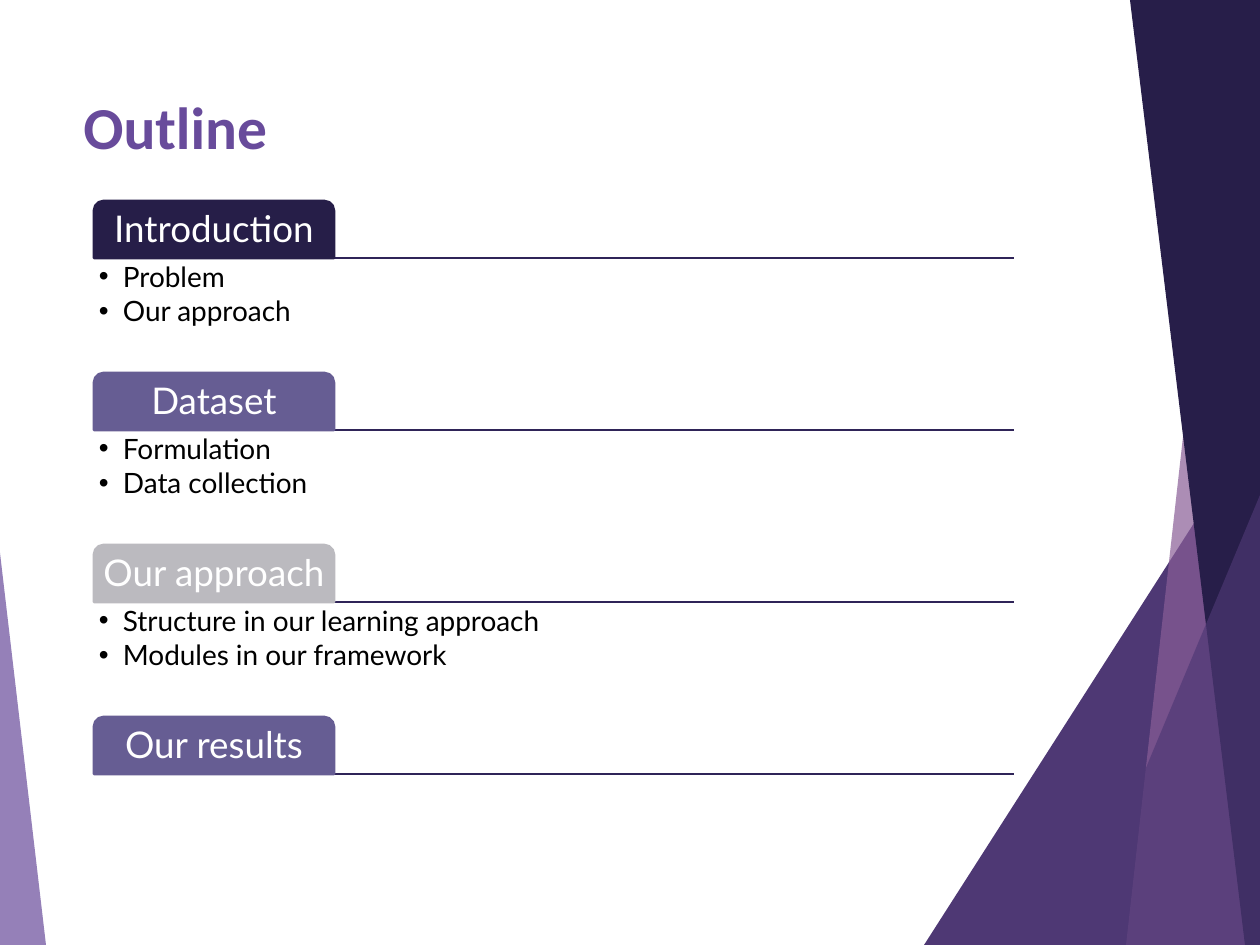
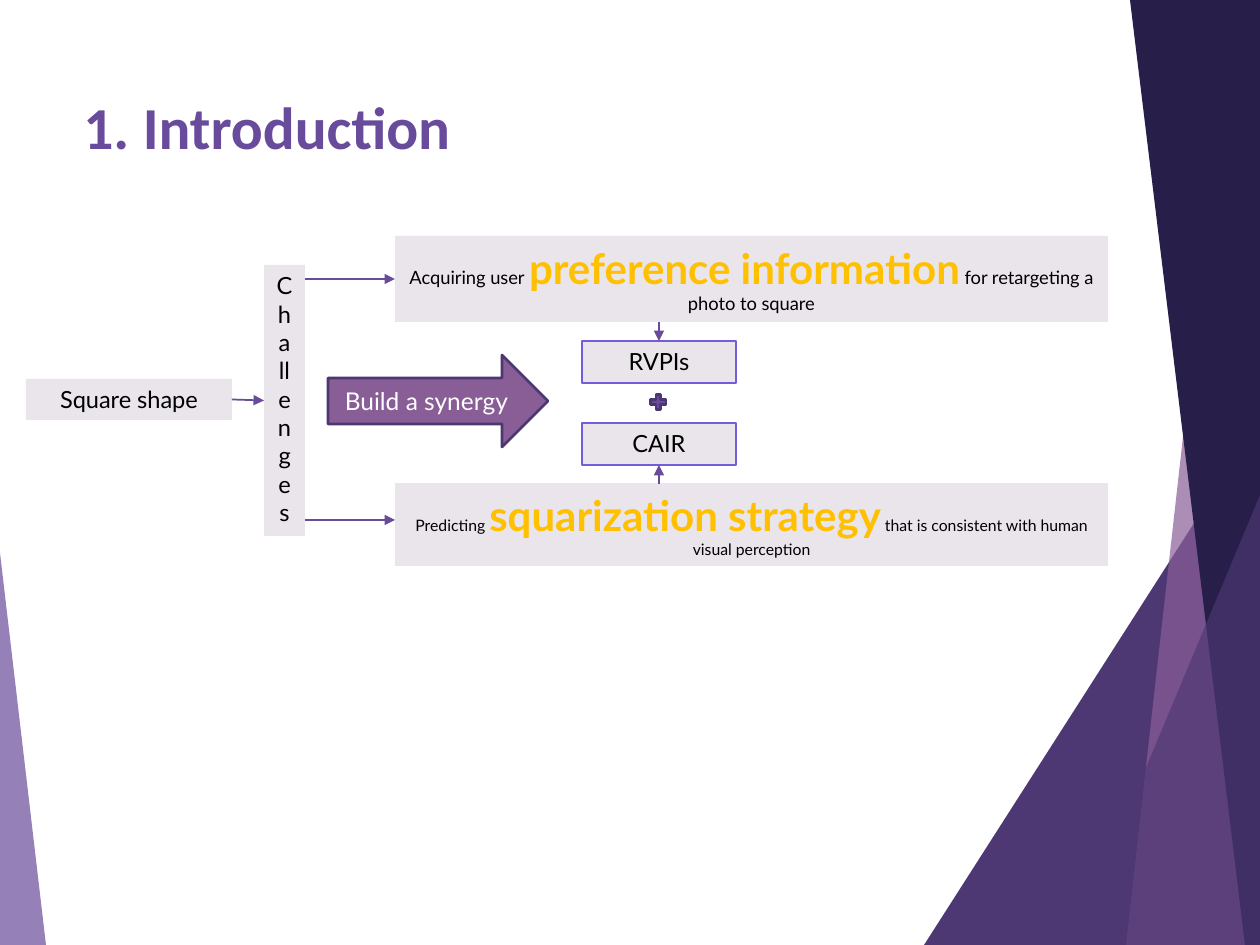
from dataclasses import dataclass

from lxml.etree import SubElement
from pptx import Presentation
from pptx.dml.color import RGBColor
from pptx.enum.shapes import MSO_CONNECTOR as Link, MSO_SHAPE as Preset
from pptx.enum.text import MSO_ANCHOR as Anchor, PP_ALIGN as Align
from pptx.oxml.ns import qn
from pptx.util import Pt

SCALE = 914400 / 126
WIDTH, HEIGHT = 1260, 945
TOP, LEFT, BOTTOM, RIGHT = range(4)


@dataclass(frozen=True)
class Theme:
    violet: str = "684B9B"
    plum: str = "4E3874"
    orchid: str = "895E97"
    night: str = "271E49"
    outline: str = "4D3773"
    rule: str = "2F2458"
    ink_tab: str = "261E48"
    slate_tab: str = "665D93"
    grey_tab: str = "BBBABF"
    panel: str = "EAE5EB"
    frame: str = "755DD9"
    accent: str = "FFC000"
    white: str = "FFFFFF"
    black: str = "000000"
    title_font: str = "Calibri"
    body_font: str = "Lato"
    title: float = 34
    tab: float = 21
    bullet: float = 16
    emphasis: float = 24
    arrow: float = 14
    label: float = 13.5
    phrase: float = 10.5
    small_phrase: float = 9


def emu(*lengths):
    return [round(length * SCALE) for length in lengths]


def assign(target, values):
    for name, value in values.items():
        setattr(target, name, value)


class Deck:
    def __init__(self, theme):
        self.theme = theme
        self.file = Presentation()
        size = emu(WIDTH, HEIGHT)
        assign(self.file, dict(zip(("slide_width", "slide_height"), size)))
        self.slide = None

    def new_slide(self, title):
        t = self.theme
        self.slide = self.file.slides.add_slide(self.file.slide_layouts[6])
        self.triangle((924, 420, 336, 525), t.plum, 1)
        self.polygon([(1232, 0), (WIDTH, 0), (WIDTH, HEIGHT), (1126, HEIGHT)],
                     t.orchid, 70)
        self.polygon([(1130, 0), (WIDTH, 0), (WIDTH, HEIGHT), (1245, HEIGHT)],
                     t.night)
        self.triangle((1072, 495, 188, 450), t.plum, 1, 66)
        self.triangle((0, 553, 46, 392), t.violet, 0, 70)
        heading = self.text_box((71, 84, 888, 181))
        self.add_text(heading.paragraphs[0], title, t.title, t.violet,
                      {"name": t.title_font, "bold": True})

    def paint(self, shape, fill, line=None, opacity=100):
        shape.shadow.inherit = False
        shape.fill.solid()
        shape.fill.fore_color.rgb = RGBColor.from_string(fill)
        if opacity < 100:
            colour = shape._element.spPr.find(".//" + qn("a:srgbClr"))
            SubElement(colour, qn("a:alpha"), val=str(opacity * 1000))
        if line:
            self.stroke(shape.line, line, 1.5)
        else:
            shape.line.fill.background()
        return shape

    def stroke(self, line, colour, width):
        line.color.rgb = RGBColor.from_string(colour)
        line.width = Pt(width)

    def shape(self, preset, area, fill, line=None, adjust=(), opacity=100):
        shape = self.slide.shapes.add_shape(preset, *emu(*area))
        for index, value in enumerate(adjust):
            shape.adjustments[index] = value
        return self.paint(shape, fill, line, opacity)

    def triangle(self, area, fill, apex, opacity=100):
        self.shape(Preset.ISOSCELES_TRIANGLE, area, fill, None, [apex], opacity)

    def polygon(self, points, fill, opacity=100):
        builder = self.slide.shapes.build_freeform(*points[0], scale=SCALE)
        builder.add_line_segments(points[1:], close=True)
        self.paint(builder.convert_to_shape(), fill, opacity=opacity)

    def text_box(self, area, **frame_format):
        frame = self.slide.shapes.add_textbox(*emu(*area)).text_frame
        assign(frame, {"word_wrap": True, **frame_format})
        return frame

    def add_text(self, paragraph, text, size, colour, font_format=None):
        run = paragraph.add_run()
        run.text = text
        assign(run.font, {"name": self.theme.body_font, "size": Pt(size),
                          **(font_format or {})})
        run.font.color.rgb = RGBColor.from_string(colour)

    def caption(self, shape, runs, **frame_format):
        frame = shape.text_frame
        assign(frame, {"word_wrap": True, "vertical_anchor": Anchor.TOP,
                       **frame_format})
        paragraph = frame.paragraphs[0]
        paragraph.alignment = Align.CENTER
        for run in runs:
            self.add_text(paragraph, *run)
        return shape

    def panel(self, area, *runs, line=None):
        box = self.shape(Preset.RECTANGLE, area, self.theme.panel, line)
        return self.caption(box, runs)

    def label(self, area, text, line=None):
        t = self.theme
        return self.panel(area, (text, t.label, t.black), line=line)

    def phrase(self, area, before, emphasis, after, size):
        t = self.theme
        return self.panel(area, (before, size, t.black),
                          (emphasis, t.emphasis, t.accent, {"bold": True}),
                          (after, size, t.black))

    def tab(self, area, text, fill):
        t = self.theme
        tab = self.shape(Preset.ROUND_2_SAME_RECTANGLE, area, fill, fill,
                         (0.167, 0))
        self.caption(tab, [(text, t.tab, t.white)], word_wrap=False,
                     vertical_anchor=Anchor.MIDDLE)
        tab.text_frame.paragraphs[0].line_spacing = 0.9

    def bullets(self, area, items):
        t = self.theme
        inset = emu(5)[0]
        frame = self.text_box(area, margin_left=inset, margin_top=inset)
        for index, item in enumerate(items):
            paragraph = frame.add_paragraph() if index else frame.paragraphs[0]
            properties = paragraph._p.get_or_add_pPr()
            hang = emu(24)[0]
            properties.set("marL", str(hang))
            properties.set("indent", str(-hang))
            SubElement(properties, qn("a:buFont"), typeface="Arial")
            SubElement(properties, qn("a:buChar"), char="•")
            assign(paragraph, {"line_spacing": 0.9, "space_after": Pt(2.4)})
            self.add_text(paragraph, item, t.bullet, t.black)

    def line(self, start, end, colour, width, head=False,
             source=None, target=None):
        link = self.slide.shapes.add_connector(Link.STRAIGHT,
                                               *emu(*start, *end))
        if source:
            link.begin_connect(*source)
        if target:
            link.end_connect(*target)
        self.stroke(link.line, colour, width)
        if head:
            SubElement(link.line._get_or_add_ln(), qn("a:tailEnd"),
                       type="triangle")
        SubElement(link._element.spPr, qn("a:effectLst"))

    def arrow(self, start, end, **joins):
        self.line(start, end, self.theme.violet, 1, True, **joins)


def outline_slide(deck):
    t = deck.theme
    deck.new_slide("Outline")
    sections = [
        ("Introduction", t.ink_tab, ["Problem", "Our approach"]),
        ("Dataset", t.slate_tab, ["Formulation", "Data collection"]),
        ("Our approach", t.grey_tab, ["Structure in our learning approach",
                                      "Modules in our framework"]),
        ("Our results", t.slate_tab, []),
    ]
    left, top, pitch, tab_height, width = 94, 201, 172, 57, 920
    rules = [top + tab_height + pitch * row for row in range(len(sections))]
    for rule in rules:
        deck.line((left, rule), (left + width, rule), t.rule, 1.5)
    for rule, (name, fill, topics) in zip(rules, sections):
        deck.tab((left, rule - tab_height, 240, tab_height), name, fill)
        if topics:
            deck.bullets((left, rule, width, 113), topics)


def introduction_slide(deck):
    t = deck.theme
    deck.new_slide("1. Introduction")
    challenges = deck.label((264, 265, 41, 271), "Challenges")
    square = deck.label((26, 379, 206, 41), "Square shape")
    preference = deck.phrase((395, 236, 713, 86), "Acquiring user ",
                             "preference information",
                             " for retargeting a photo to square", t.phrase)
    deck.phrase((395, 483, 713, 83), "Predicting ", "squarization strategy",
                " that is consistent with human visual perception",
                t.small_phrase)
    cair = deck.label((582, 423, 154, 42), "CAIR", t.frame)
    rvpis = deck.label((582, 341, 154, 42), "RVPIs", t.frame)

    deck.arrow((232, 400), (264, 400),
               source=(square, RIGHT), target=(challenges, LEFT))
    deck.arrow((305, 279), (395, 279), target=(preference, LEFT))
    deck.arrow((305, 520), (395, 520))
    deck.arrow((659, 322), (659, 341), target=(rvpis, TOP))
    deck.arrow((659, 484), (659, 465), target=(cair, BOTTOM))

    synergy = deck.shape(Preset.RIGHT_ARROW, (328, 355, 220, 92), t.orchid,
                         t.outline)
    deck.caption(synergy, [("Build a synergy", t.arrow, t.white)],
                 word_wrap=False, vertical_anchor=Anchor.MIDDLE)
    deck.shape(Preset.MATH_PLUS, (648, 392, 21, 20), t.violet, t.outline)


def main():
    deck = Deck(Theme())
    outline_slide(deck)
    introduction_slide(deck)
    deck.file.save("out.pptx")


if __name__ == "__main__":
    main()
